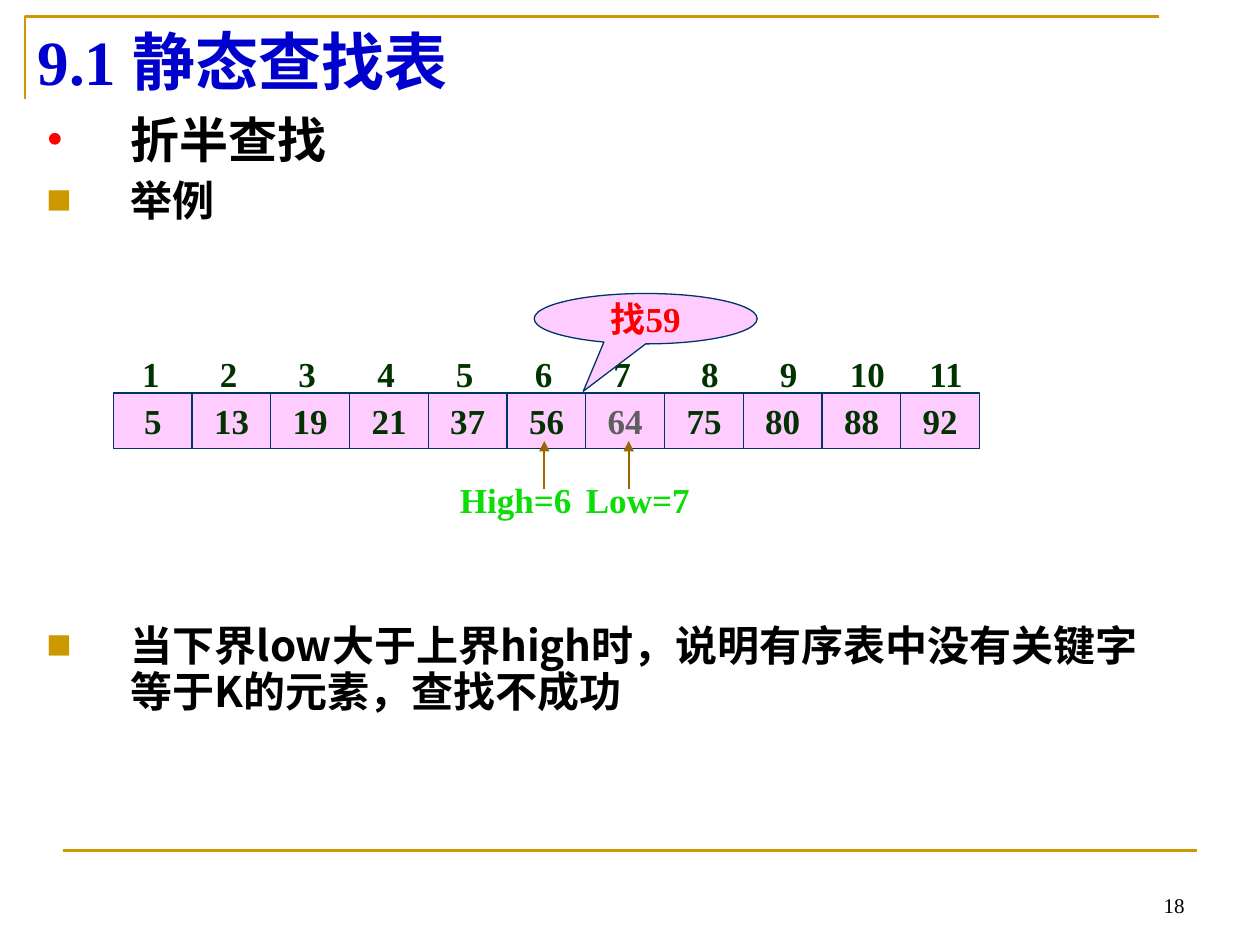
from typing import NamedTuple, Optional

from lxml import etree
from pptx import Presentation
from pptx import util as u
from pptx.dml.color import RGBColor
from pptx.enum import shapes, text
from pptx.oxml.ns import qn

LATIN, CJK = "Times New Roman", "Noto Sans CJK SC"
GOLD, PINK, NAVY, DARK_GREEN = "CC9900", "FFCCFF", "003366", "003300"
GREEN, RED, BLACK = "0CDD07", "FF0000", "000000"


class Box(NamedTuple):
    left: float
    top: float
    width: float
    height: float


class Bullet(NamedTuple):
    char: str
    color: str


class Item(NamedTuple):
    content: str
    size: float
    pitch: float
    bullet: Bullet
    before: float = 0


class Pointer(NamedTuple):
    label: str
    label_left: float
    label_width: float
    arrow_x: float


def color(hex_value: str) -> RGBColor:
    return RGBColor.from_string(hex_value)


def inches(box: Box) -> list:
    return [u.Inches(value) for value in box]


def write(paragraph, content: str, *, size: float = 20, fill: str = DARK_GREEN,
          bold: bool = True, font: str = LATIN,
          align=text.PP_ALIGN.LEFT) -> None:
    paragraph.alignment = align
    run = paragraph.add_run()
    run.text = content
    run.font.size = u.Pt(size)
    run.font.bold = bold
    run.font.name = font
    run.font.color.rgb = color(fill)
    east_asian = etree.SubElement(run.font._element, qn("a:ea"))
    east_asian.set("typeface", CJK)


def add_frame(slide, box: Box, side: Optional[float] = 0.1,
              anchor=text.MSO_ANCHOR.TOP):
    frame = slide.shapes.add_textbox(*inches(box)).text_frame
    frame.word_wrap = True
    frame.vertical_anchor = anchor
    frame.margin_left = frame.margin_right = u.Inches(side)
    return frame


def add_shape(slide, kind, box: Box, content: str, fill: str):
    shape = slide.shapes.add_shape(kind, *inches(box))
    shape.shadow.inherit = False
    shape.fill.solid()
    shape.fill.fore_color.rgb = color(PINK)
    shape.line.color.rgb = color(NAVY)
    shape.line.width = u.Pt(0.75)
    frame = shape.text_frame
    frame.word_wrap = False
    frame.vertical_anchor = text.MSO_ANCHOR.MIDDLE
    write(frame.paragraphs[0], content, fill=fill, align=text.PP_ALIGN.CENTER)
    return shape


def add_line(slide, start: tuple, end: tuple, stroke: str, width: float,
             arrow: bool = False) -> None:
    line = slide.shapes.add_connector(
        shapes.MSO_CONNECTOR.STRAIGHT, *[u.Inches(v) for v in start + end])
    line.line.color.rgb = color(stroke)
    line.line.width = u.Pt(width)
    if arrow:
        outline = line.line._get_or_add_ln()
        etree.SubElement(outline, qn("a:tailEnd")).set("type", "triangle")
    etree.SubElement(line._element.spPr, qn("a:effectLst"))


def add_items(slide, box: Box, items: list) -> None:
    frame = add_frame(slide, box)
    for index, item in enumerate(items):
        paragraph = frame.add_paragraph() if index else frame.paragraphs[0]
        props = paragraph._p.get_or_add_pPr()
        props.set("marL", str(u.Inches(0.67)))
        props.set("indent", str(-u.Inches(0.67)))
        tint = etree.SubElement(props, qn("a:buClr"))
        etree.SubElement(tint, qn("a:srgbClr")).set("val", item.bullet.color)
        etree.SubElement(props, qn("a:buFont")).set("typeface", LATIN)
        etree.SubElement(props, qn("a:buChar")).set("char", item.bullet.char)
        paragraph.line_spacing = u.Pt(item.pitch)
        if item.before:
            paragraph.space_before = u.Pt(item.before)
        write(paragraph, item.content, size=item.size, fill=BLACK, font=CJK)


def add_indices(slide, count: int) -> None:
    """One line of position numbers, centred on tab stops."""
    left, side = 1.03, 0.1
    paragraph = add_frame(slide, Box(left, 2.75, 7.08, 0.44), side).paragraphs[0]
    tabs = etree.SubElement(paragraph._p.get_or_add_pPr(), qn("a:tabLst"))
    for index in range(1, count):
        shift = 0.07 if index >= 7 else 0
        stop = etree.SubElement(tabs, qn("a:tab"))
        stop.set("pos", str(u.Inches(0.06 + CELL_STEP * index + shift)))
        stop.set("algn", "ctr")
    write(paragraph, "\t".join(str(n + 1) for n in range(count)))


CELL_STEP = 0.625
KEYS = [5, 13, 19, 21, 37, 56, 64, 75, 80, 88, 92]
PASSED_KEY = 64
DOT, SQUARE = Bullet("•", RED), Bullet("■", GOLD)
POINTERS = [Pointer("High=6", 3.65, 1.25, 4.32), Pointer("Low=7", 4.65, 1, 4.99)]


def main() -> None:
    deck = Presentation()
    deck.slide_width, deck.slide_height = u.Inches(10), u.Inches(7.5)
    slide = deck.slides.add_slide(deck.slide_layouts[6])

    # Corner rule, footer rule and page number
    builder = slide.shapes.build_freeform(u.Inches(0.2), u.Inches(0.79))
    builder.add_line_segments(
        [(u.Inches(x), u.Inches(0.13)) for x in (0.2, 9.2)], close=False)
    corner = builder.convert_to_shape()
    corner.shadow.inherit = False
    corner.fill.background()
    corner.line.color.rgb = color(GOLD)
    corner.line.width = u.Pt(1.5)
    add_line(slide, (0.5, 6.75), (9.5, 6.75), GOLD, 1.5)
    page = add_frame(slide, Box(7.17, 6.83, 2.33, 0.5),
                     anchor=text.MSO_ANCHOR.BOTTOM)
    write(page.paragraphs[0], "18", size=12, fill=BLACK, bold=False,
          align=text.PP_ALIGN.RIGHT)

    # Title and points
    title = add_frame(slide, Box(0.2, 0.13, 9, 0.71))
    write(title.paragraphs[0], "9.1 静态查找表", size=36, fill="0000CC")
    add_items(slide, Box(0.27, 0.86, 9.06, 1), [
        Item("折半查找", 28, 31, DOT),
        Item("举例", 24, 26.3, SQUARE, before=5.5)])
    add_items(slide, Box(0.27, 4.9, 9.06, 1.06), [
        Item("当下界low大于上界high时，说明有序表中没有关键字等于K的元素，查找不成功",
             24, 26.3, SQUARE)])

    # Ordered list with its positions
    add_indices(slide, len(KEYS))
    for index, key in enumerate(KEYS):
        cell = Box(0.9 + CELL_STEP * index, 3.12, CELL_STEP, 0.44)
        add_shape(slide, shapes.MSO_SHAPE.RECTANGLE, cell, str(key),
                  "5F5F5F" if key == PASSED_KEY else DARK_GREEN)

    # Bounds of the search
    for pointer in POINTERS:
        add_line(slide, (pointer.arrow_x, 3.88), (pointer.arrow_x, 3.5),
                 "996600", 1, arrow=True)
        label = add_frame(
            slide, Box(pointer.label_left, 3.75, pointer.label_width, 0.44), 0)
        write(label.paragraphs[0], pointer.label, fill=GREEN)

    # Wanted key
    callout = add_shape(slide, shapes.MSO_SHAPE.OVAL_CALLOUT,
                        Box(4.24, 2.33, 1.77, 0.4), "找59", RED)
    callout.adjustments[0], callout.adjustments[1] = -0.28, 1.44

    deck.save("out.pptx")


if __name__ == "__main__":
    main()
